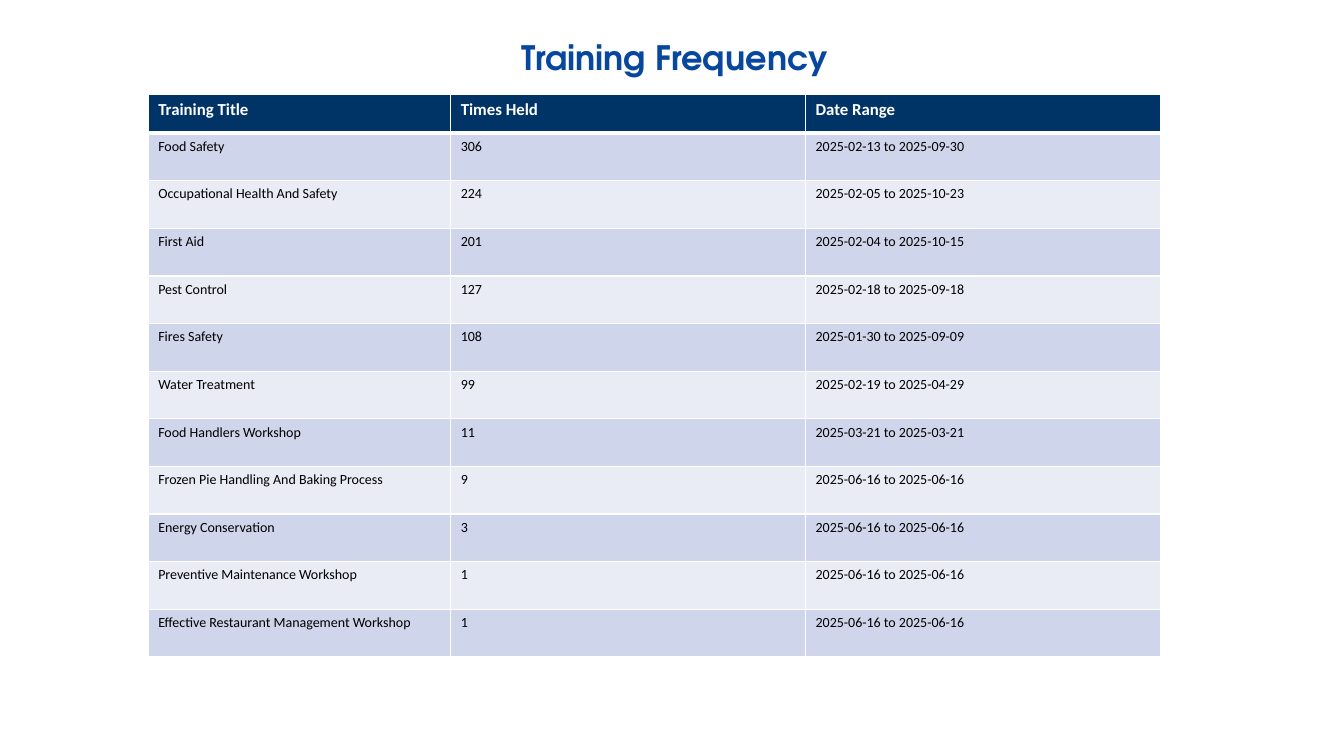
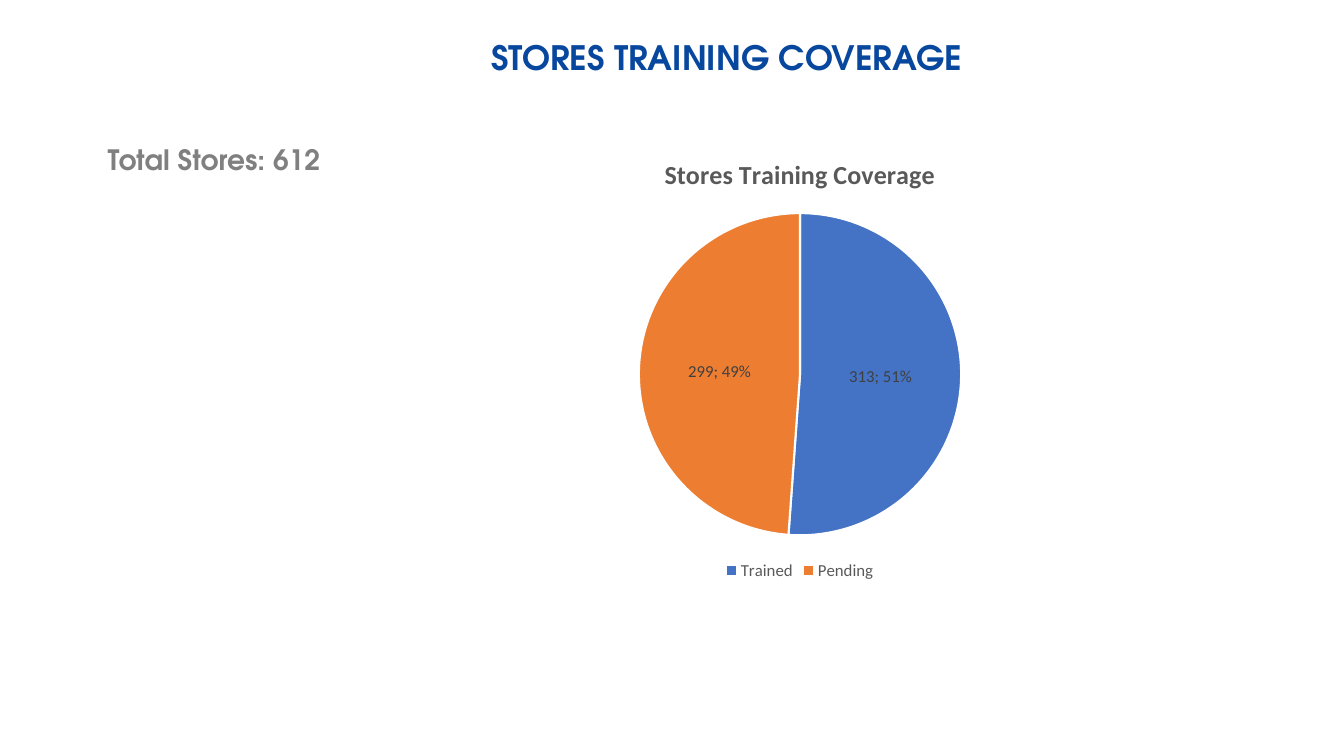
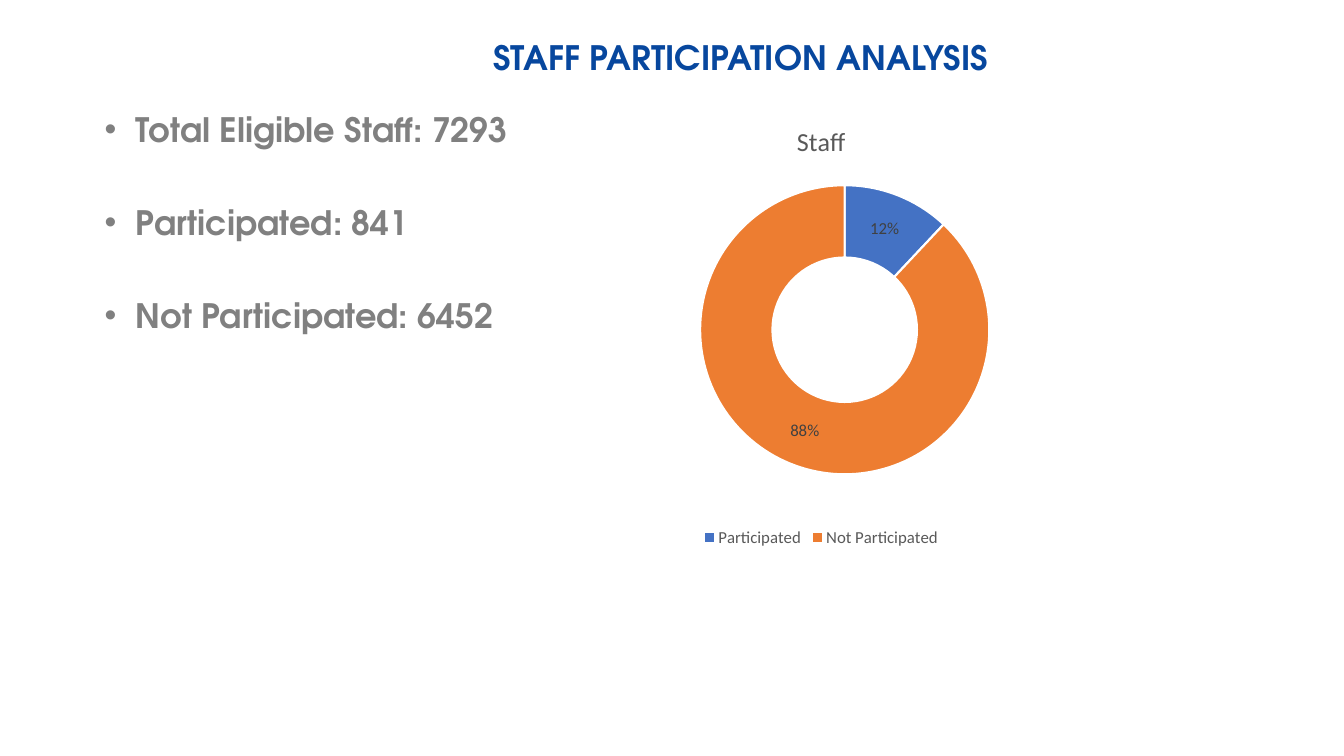
from lxml import etree
from pptx import Presentation
from pptx.chart.data import CategoryChartData
from pptx.dml.color import RGBColor
from pptx.enum import chart as ch, text
from pptx.oxml import ns
from pptx.util import Inches, Pt

HEADING, BODY = "TeX Gyre Adventor", "Calibri"
BLUE, GREY, NAVY, WHITE, BLACK = "07479E", "808080", "003366", "FFFFFF", "000000"
BANDS = ("CFD5EA", "E9EBF5")
SLICES = ("4472C4", "ED7D31")
CHART_TEXT, LABEL_TEXT = "595959", "404040"

TRAININGS = [
    ("Food Safety", "306", "2025-02-13 to 2025-09-30"),
    ("Occupational Health And Safety", "224", "2025-02-05 to 2025-10-23"),
    ("First Aid", "201", "2025-02-04 to 2025-10-15"),
    ("Pest Control", "127", "2025-02-18 to 2025-09-18"),
    ("Fires Safety", "108", "2025-01-30 to 2025-09-09"),
    ("Water Treatment", "99", "2025-02-19 to 2025-04-29"),
    ("Food Handlers Workshop", "11", "2025-03-21 to 2025-03-21"),
    ("Frozen Pie Handling And Baking Process", "9", "2025-06-16 to 2025-06-16"),
    ("Energy Conservation", "3", "2025-06-16 to 2025-06-16"),
    ("Preventive Maintenance Workshop", "1", "2025-06-16 to 2025-06-16"),
    ("Effective Restaurant Management Workshop", "1", "2025-06-16 to 2025-06-16"),
]


def rgb(value):
    return RGBColor.from_string(value)


def style(font, name, size, color, bold=False):
    for key, value in {"name": name, "size": Pt(size), "bold": bold}.items():
        setattr(font, key, value)
    font.color.rgb = rgb(color)


def box(*lengths):
    return [Inches(n) for n in lengths]


def add_xml(parent, tag, **attrs):
    return etree.SubElement(parent, ns.qn(tag), attrs)


def add_slide(prs, title, shift=0):
    """Add a titled slide; shift moves the centred title to the right."""
    s = prs.slides.add_slide(prs.slide_layouts[5])
    sp = s.shapes.title
    sp.left, sp.top, sp.width, sp.height = box(0.97, 0.26, 11.45, 0.67)
    tf = sp.text_frame
    tf.text = title
    tf.word_wrap = True
    tf.vertical_anchor = text.MSO_ANCHOR.MIDDLE
    tf.margin_left = Inches(0.1 + 2 * shift)
    p = tf.paragraphs[0]
    p.alignment, p.line_spacing = text.PP_ALIGN.CENTER, 0.9
    style(p.runs[0].font, HEADING, 24, BLUE, True)
    return s


def add_facts(s, place, lines, size, bulleted=False):
    tf = s.shapes.add_textbox(*box(*place)).text_frame
    tf.word_wrap = True
    for i, line in enumerate(lines):
        p = tf.paragraphs[0] if i == 0 else tf.add_paragraph()
        p.space_before = Pt(37.6 if i else 0)
        r = p.add_run()
        r.text = line
        style(r.font, HEADING, size, GREY, True)
        if bulleted:
            pPr = p._p.get_or_add_pPr()
            pPr.set("marL", str(Inches(0.31)))
            pPr.set("indent", str(-Inches(0.31)))
            add_xml(pPr, "a:buFont", typeface="Arial")
            add_xml(pPr, "a:buChar", char="•")
        else:
            p.alignment = text.PP_ALIGN.JUSTIFY


def set_borders(cell, bottom):
    tcPr = cell._tc.get_or_add_tcPr()
    for side, width in {"L": 1, "R": 1, "T": 1, "B": bottom}.items():
        ln = add_xml(tcPr, f"a:ln{side}", w=str(Pt(width)))
        add_xml(add_xml(ln, "a:solidFill"), "a:srgbClr", val=WHITE)


def add_table(s, place, widths, header_height, header, rows):
    table = s.shapes.add_table(len(rows) + 1, len(header), *box(*place)).table
    for column, width in zip(table.columns, widths):
        column.width = Inches(width)
    row_height = (place[3] - header_height) / len(rows)
    for i, values in enumerate([header, *rows]):
        is_header = i == 0
        table.rows[i].height = Inches(header_height if is_header else row_height)
        for cell, value in zip(table.rows[i].cells, values):
            set_borders(cell, 3 if is_header else 1)
            cell.fill.solid()
            cell.fill.fore_color.rgb = rgb(NAVY if is_header else BANDS[(i - 1) % 2])
            cell.text = value
            font = cell.text_frame.paragraphs[0].runs[0].font
            style(font, BODY, 12 if is_header else 10,
                  WHITE if is_header else BLACK, is_header)


def set_plot_layout(chart, plot_box):
    """Place the inner plot area by fractions of the chart: x, y, w, h."""
    area = chart.element.xpath("c:chart/c:plotArea")[0]
    for old in area.xpath("c:layout"):
        area.remove(old)
    layout = etree.Element(ns.qn("c:layout"))
    area.insert(0, layout)
    manual = add_xml(layout, "c:manualLayout")
    values = {"layoutTarget": "inner", "xMode": "edge", "yMode": "edge"}
    values.update(zip("xywh", map(str, plot_box)))
    for key, value in values.items():
        add_xml(manual, f"c:{key}", val=value)


def add_share_chart(s, kind, place, series, title, shares, plot_box,
                    bold=False, show_value=False):
    data = CategoryChartData()
    data.categories = list(shares)
    data.add_series(series, shares.values())
    chart = s.shapes.add_chart(kind, *box(*place), data).chart
    style(chart.font, BODY, 10, BLACK)
    set_plot_layout(chart, plot_box)

    chart.has_title = True
    tf = chart.chart_title.text_frame
    tf.text = title
    style(tf.paragraphs[0].runs[0].font, BODY, 18.6, CHART_TEXT, bold)

    chart.has_legend = True
    chart.legend.position = ch.XL_LEGEND_POSITION.BOTTOM
    chart.legend.include_in_layout = False
    style(chart.legend.font, BODY, 12, CHART_TEXT)

    plot = chart.plots[0]
    plot.vary_by_categories = True
    for i, color in enumerate(SLICES):
        fmt = plot.series[0].points[i].format
        fmt.fill.solid()
        fmt.fill.fore_color.rgb = rgb(color)
        fmt.line.color.rgb = rgb(WHITE)
        fmt.line.width = Pt(1.5)

    labels = plot.series[0].data_labels
    labels.show_percentage, labels.show_value = True, show_value
    style(labels.font, BODY, 12, LABEL_TEXT)
    if show_value:
        labels.position = ch.XL_LABEL_POSITION.CENTER
        separator = etree.Element(ns.qn("c:separator"))
        separator.text = "; "
        chart.element.xpath("//c:ser/c:dLbls/c:showBubbleSize")[0].addnext(separator)
    for hole in chart.element.xpath("//c:holeSize"):
        hole.set("val", "75")


def main():
    prs = Presentation()
    prs.slide_width, prs.slide_height = box(13.33, 7.5)

    s = add_slide(prs, "Training Frequency")
    add_table(s, (1.47, 0.94, 10.04, 5.58), (3, 3.52, 3.52), 0.38,
              ("Training Title", "Times Held", "Date Range"), TRAININGS)

    s = add_slide(prs, "STORES TRAINING COVERAGE", shift=0.51)
    add_facts(s, (0.97, 1.36, 2.73, 2.85), ["Total Stores: 612"], 20)
    add_share_chart(s, ch.XL_CHART_TYPE.PIE, (4.6, 1.36, 6.67, 4.44), "Series 1",
                    "Stores Training Coverage", {"Trained": 313, "Pending": 299},
                    (0.26, 0.17, 0.48, 0.72), bold=True, show_value=True)

    s = add_slide(prs, "STAFF PARTICIPATION ANALYSIS", shift=0.65)
    add_facts(s, (0.94, 1.03, 4.6, 5.61),
              ["Total Eligible Staff: 7293", "Participated: 841",
               "Not Participated: 6452"], 24, bulleted=True)
    add_share_chart(s, ch.XL_CHART_TYPE.DOUGHNUT, (4.81, 1.03, 6.67, 4.44), "Staff",
                    "Staff", {"Participated": 12, "Not Participated": 88},
                    (0.32, 0.18, 0.43, 0.65))

    prs.save("out.pptx")


if __name__ == "__main__":
    main()
